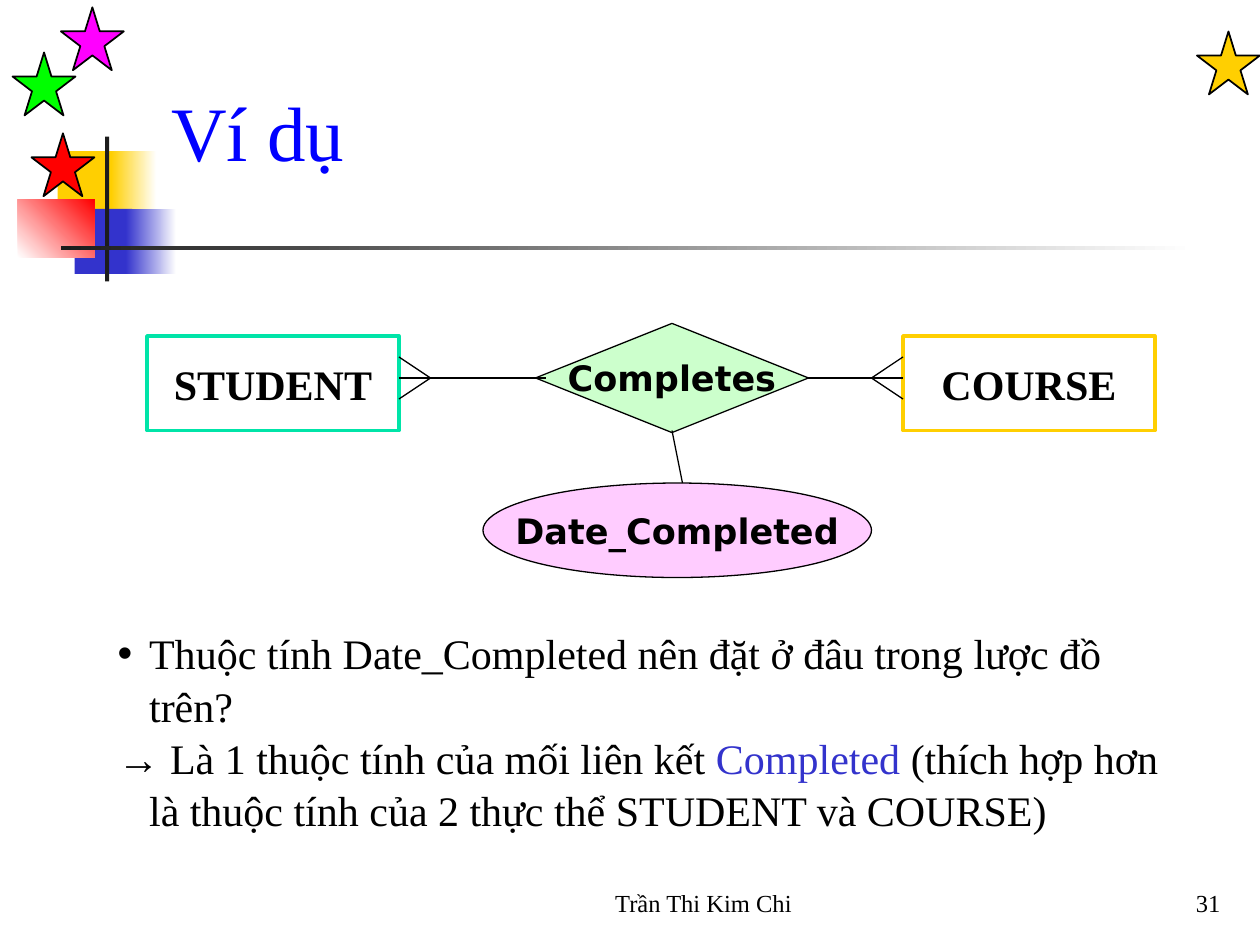
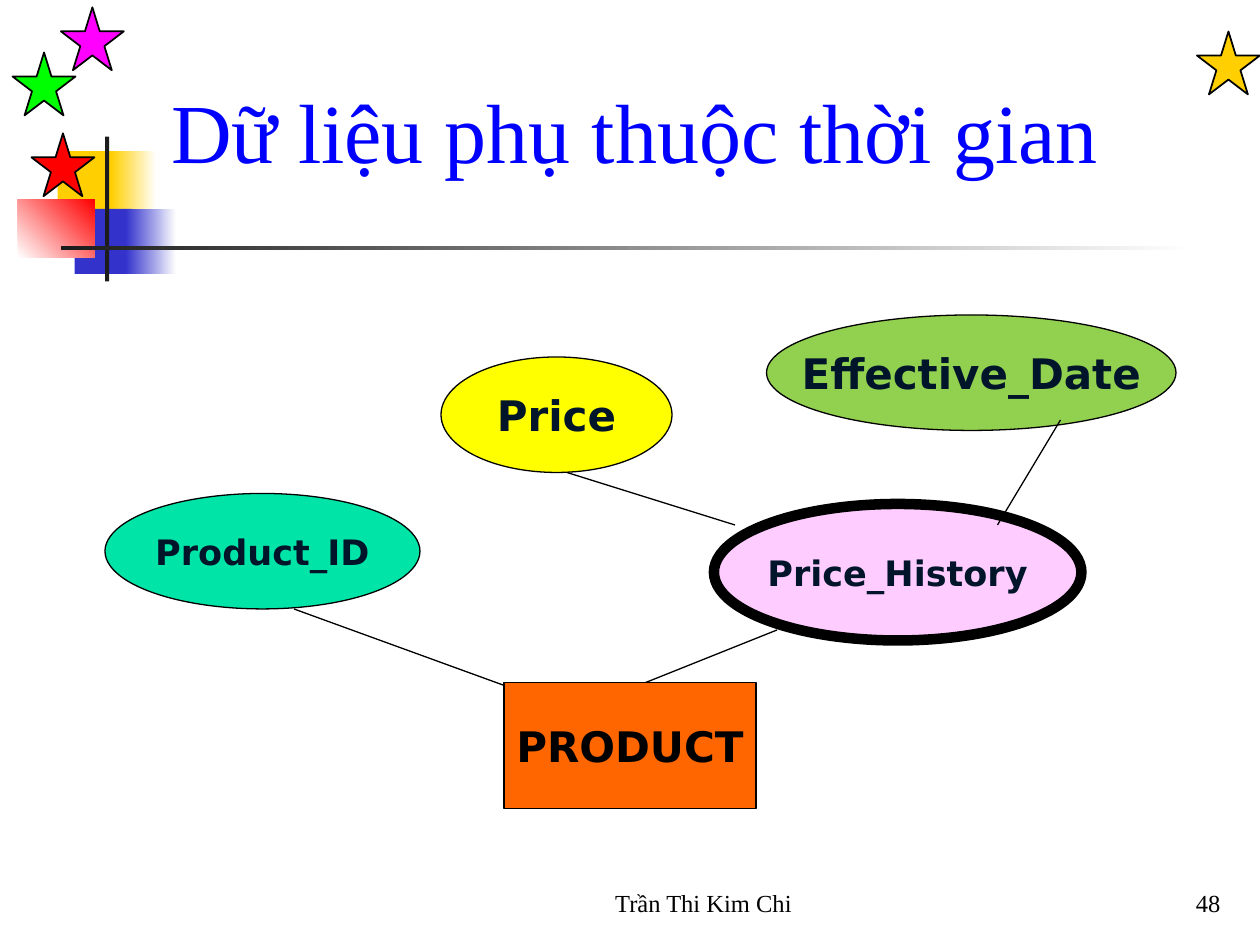
from dataclasses import dataclass

from lxml.etree import SubElement
from pptx import Presentation
from pptx.dml.color import RGBColor
from pptx.enum.shapes import MSO_CONNECTOR, MSO_SHAPE as SHAPE
from pptx.enum.text import MSO_ANCHOR as ANCHOR, MSO_AUTO_SIZE, PP_ALIGN as ALIGN
from pptx.oxml.ns import qn
from pptx.util import Emu, Pt

PX = 7620  # EMU in one px, 120 px to the inch
TITLE_AND_BODY, TITLE_ONLY = 1, 5


@dataclass(frozen=True)
class Theme:
    serif: str = "Times New Roman"
    sans: str = "DejaVu Sans"
    title_size: int = 44
    big_title_size: int = 48
    body_size: int = 24
    label_size: int = 20
    footer_size: int = 14
    thin: float = 0.75
    white: str = "FFFFFF"
    black: str = "000000"
    ink: str = "1C1C1C"
    navy: str = "00152A"
    title: str = "0000FF"
    blue: str = "3333CC"
    gold: str = "FFCF01"
    red: str = "FF0000"
    lime: str = "00FF00"
    magenta: str = "FF00FF"
    teal: str = "00E4A8"
    mint: str = "CCFFCC"
    pink: str = "FFCCFF"
    yellow: str = "FFFF00"
    green: str = "92D050"
    orange: str = "FF6600"


T = Theme()


def rgb(color):
    return RGBColor.from_string(color)


def px(*lengths):
    return [Emu(n * PX) for n in lengths]


def write(p, text, size=T.body_size, font=T.serif, color=T.black, bold=False, align=ALIGN.LEFT):
    """Add one formatted run to a paragraph and align the paragraph."""
    p.alignment = align
    r = p.add_run()
    r.text = text
    r.font.name, r.font.size, r.font.bold = font, Pt(size), bold
    r.font.color.rgb = rgb(color)


class Deck:
    def __init__(self, theme):
        self.theme = theme
        self.prs = Presentation()
        self.prs.slide_width, self.prs.slide_height = px(1200, 900)
        self.slide = None

    def new_slide(self, layout, title, size, number):
        first = self.slide is None
        self.slide = self.prs.slides.add_slide(self.prs.slide_layouts[layout])
        if first:
            self.decorate_master()
        tf = self.placeholder(self.slide.shapes.title, 151, 28, 1022, 192)
        tf.vertical_anchor = ANCHOR.MIDDLE
        write(tf.paragraphs[0], title, size=size, color=self.theme.title)
        self.footer(str(number), 924, 250, ALIGN.RIGHT)
        self.footer("Trần Thi Kim Chi", 480, 380, ALIGN.CENTER)

    def decorate_master(self):
        """Draw the shared emblem, rule and stars, then hand them to the master."""
        t = self.theme
        drawn = [
            self.shape(SHAPE.RECTANGLE, 55, 144, 58, 62, t.gold),
            self.gradient(106, 144, 43, 62, t.gold, t.white),
            self.shape(SHAPE.RECTANGLE, 71, 199, 55, 62, t.blue),
            self.gradient(120, 199, 48, 62, t.blue, t.white),
            self.gradient(17, 190, 73, 55, t.white, t.red, angle=45),
            self.shape(SHAPE.RECTANGLE, 100, 130, 4, 138, t.ink),
            self.gradient(58, 234, 1080, 4, t.ink, t.white),
        ]
        stars = [(1140, 30, t.gold), (30, 127, t.red), (12, 50, t.lime), (58, 7, t.magenta)]
        drawn += [self.shape(SHAPE.STAR_5_POINT, x, y, 60, 60, color, t.black, 1)
                  for x, y, color in stars]
        for i, sp in enumerate(drawn, start=100):
            sp.element.nvSpPr.cNvPr.set("id", str(i))
            self.prs.slide_master.shapes.element.append(sp.element)

    def placeholder(self, sp, *box):
        sp.left, sp.top, sp.width, sp.height = px(*box)
        tf = sp.text_frame
        tf.word_wrap, tf.auto_size = True, MSO_AUTO_SIZE.NONE
        return tf

    def body(self, paragraphs, *box):
        """Fill the body; each paragraph is (has_bullet, [(text, color), ...])."""
        tf = self.placeholder(self.slide.placeholders[1], *box)
        tf.vertical_anchor = ANCHOR.TOP
        for i, (has_bullet, runs) in enumerate(paragraphs):
            p = tf.add_paragraph() if i else tf.paragraphs[0]
            p.space_before, p.line_spacing = Pt(0), 1.04
            for text, color in runs:
                write(p, text, color=color)
            pPr = p._p.get_or_add_pPr()
            pPr.set("marL", str(30 * PX))
            pPr.set("indent", str(-30 * PX))
            if has_bullet:
                SubElement(pPr, qn("a:buChar"), char="•")
            else:
                SubElement(pPr, qn("a:buNone"))

    def footer(self, text, x, w, align):
        tf = self.slide.shapes.add_textbox(*px(x, 820, w, 60)).text_frame
        tf.word_wrap, tf.vertical_anchor = True, ANCHOR.BOTTOM
        write(tf.paragraphs[0], text, size=self.theme.footer_size, align=align)

    def shape(self, kind, x, y, w, h, fill, line=None, weight=T.thin):
        sp = self.slide.shapes.add_shape(kind, *px(x, y, w, h))
        sp.shadow.inherit = False
        sp.fill.solid()
        sp.fill.fore_color.rgb = rgb(fill)
        if line:
            sp.line.color.rgb, sp.line.width = rgb(line), Pt(weight)
        else:
            sp.line.fill.background()
        return sp

    def gradient(self, x, y, w, h, start, end, angle=0):
        sp = self.shape(SHAPE.RECTANGLE, x, y, w, h, start)
        sp.fill.gradient()
        sp.fill.gradient_angle = angle
        for stop, color, position in zip(sp.fill.gradient_stops, (start, end), (0, 1)):
            stop.color.rgb, stop.position = rgb(color), position
        return sp

    def node(self, kind, text, box, fill, line=T.black, weight=T.thin, **fmt):
        """Draw a diagram shape with a bold centred label."""
        tf = self.shape(kind, *box, fill, line, weight).text_frame
        tf.word_wrap, tf.vertical_anchor = False, ANCHOR.MIDDLE
        fmt = {"font": self.theme.sans, "size": self.theme.label_size, **fmt}
        write(tf.paragraphs[0], text, bold=True, align=ALIGN.CENTER, **fmt)

    def line(self, *ends):
        cxn = self.slide.shapes.add_connector(MSO_CONNECTOR.STRAIGHT, *px(*ends))
        cxn.line.color.rgb, cxn.line.width = rgb(self.theme.black), Pt(self.theme.thin)
        SubElement(cxn.element.spPr, qn("a:effectLst"))

    def many_link(self, entity_x, tip_x, relation_x, y):
        """Join an entity to a relationship, with a crow's foot at the entity."""
        self.line(entity_x, y, relation_x, y)
        for dy in (-20, 20):
            self.line(tip_x, y, entity_x, y + dy)


def relationship_slide(deck):
    t = deck.theme
    deck.new_slide(TITLE_AND_BODY, "Ví dụ", t.title_size, 31)
    deck.body([
        (True, [("Thuộc tính Date_Completed nên đặt ở đâu trong lược đồ trên?", t.black)]),
        (False, [("→ Là 1 thuộc tính của mối liên kết ", t.black),
                 ("Completed ", t.blue),
                 ("(thích hợp hơn là thuộc tính của 2 thực thể STUDENT và COURSE)", t.black)]),
    ], 100, 590, 1022, 252)
    for name, x, color in (("STUDENT", 140, t.teal), ("COURSE", 860, t.gold)):
        deck.node(SHAPE.RECTANGLE, name, (x, 320, 240, 90), t.white, color, 2,
                  font=t.serif, size=t.body_size)
    deck.node(SHAPE.DIAMOND, "Completes", (510, 308, 260, 104), t.mint)
    deck.many_link(380, 410, 520, 360)
    deck.many_link(860, 830, 770, 360)
    deck.node(SHAPE.OVAL, "Date_Completed", (460, 460, 370, 90), t.pink)
    deck.line(650, 460, 640, 410)


def time_dependent_slide(deck):
    t = deck.theme
    deck.new_slide(TITLE_ONLY, "Dữ liệu phụ thuộc thời gian", t.big_title_size, 48)
    attributes = [
        ("Product_ID", (100, 470, 300, 110), t.teal, t.thin, t.label_size),
        ("Price", (420, 340, 220, 110), t.yellow, t.thin, t.body_size),
        ("Price_History", (680, 480, 350, 130), t.pink, 6, t.label_size),
        ("Effective_Date", (730, 300, 390, 110), t.green, t.thin, t.body_size),
    ]
    for name, box, fill, weight, size in attributes:
        deck.node(SHAPE.OVAL, name, box, fill, weight=weight, size=size, color=t.navy)
    for ends in ((280, 580, 500, 660), (740, 600, 590, 660),
                 (540, 450, 700, 500), (1010, 400, 950, 500)):
        deck.line(*ends)
    deck.node(SHAPE.RECTANGLE, "PRODUCT", (480, 650, 240, 120), t.orange, size=t.body_size)


def main():
    deck = Deck(T)
    relationship_slide(deck)
    time_dependent_slide(deck)
    deck.prs.save("out.pptx")


if __name__ == "__main__":
    main()
